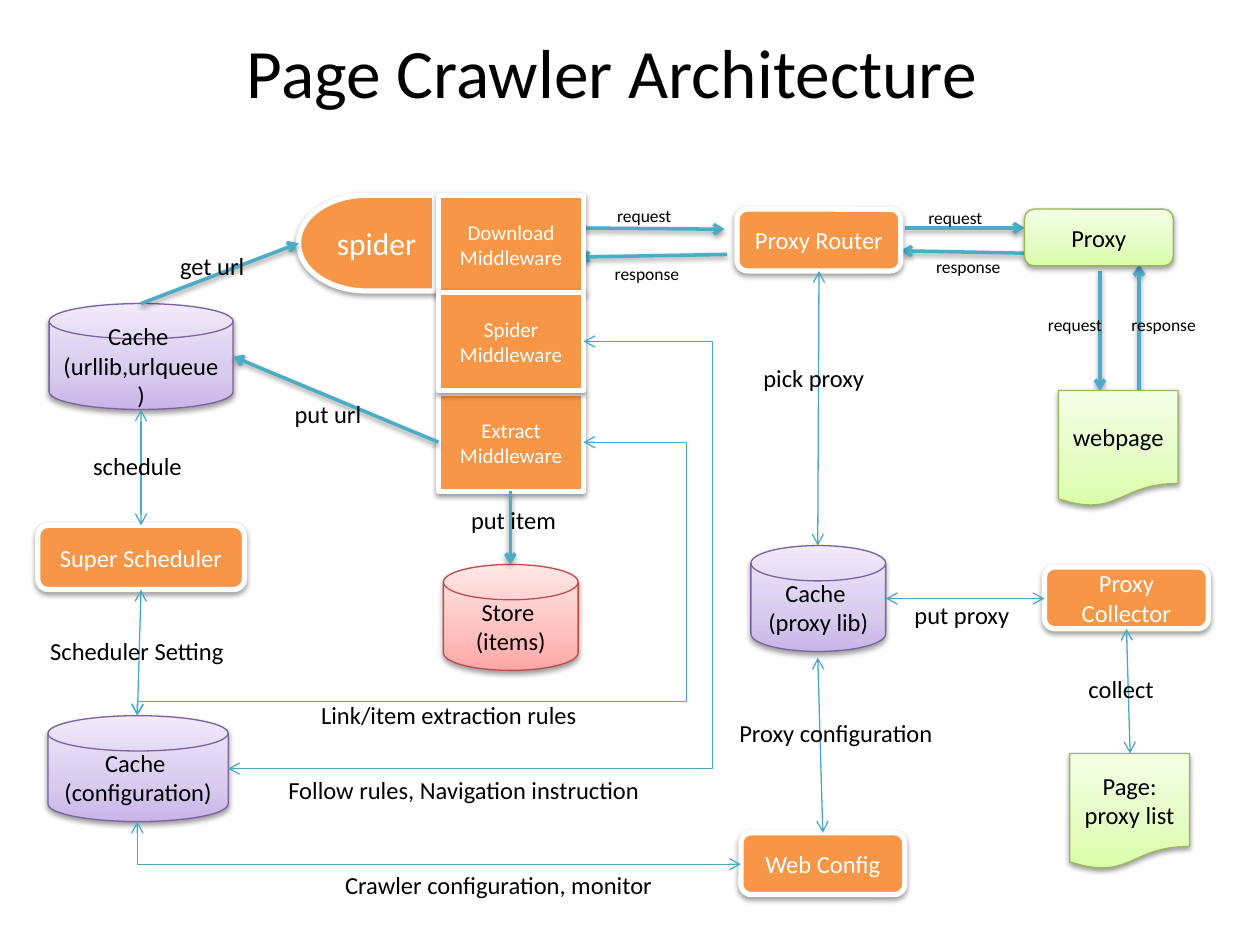
"""Build the crawler architecture slide."""
import copy
import pptx
import pptx.util
import pptx.dml.color
import pptx.enum.shapes
import pptx.enum.text
import pptx.oxml
import pptx.oxml.ns
from dataclasses import dataclass

Pt = pptx.util.Pt
Shape = pptx.enum.shapes.MSO_SHAPE
Connector = pptx.enum.shapes.MSO_CONNECTOR
Align = pptx.enum.text.PP_ALIGN
Anchor = pptx.enum.text.MSO_ANCHOR
rgb = pptx.dml.color.RGBColor.from_string
qn = pptx.oxml.ns.qn
DRAWING = pptx.oxml.ns.nsdecls("a")


@dataclass
class Theme:
    font: str = "Calibri"
    dark: str = "000000"
    light: str = "FFFFFF"
    thin_line: str = "46AAC5"
    thick_line: str = "4BACC6"
    title: float = 39.6
    spider: float = 18
    body: float = 14
    middleware: float = 12
    small: float = 10


theme = Theme()
styles = {
    "orange": (["F79646"], theme.light, 3, theme.light),
    "green": (["DAFDA7", "E4FCC2", "F5FFE7"], "98B955", 0.75, theme.dark),
    "purple": (["C9B5E8", "D8CBEE", "F0EAF9"], "7D60A0", 0.75, theme.dark),
    "red": (["FFA6A5", "FFC0BF", "FFE7E7"], "BF4C48", 0.75, theme.dark),
}


def write(frame, text, size, color, align):
    frame.text = text
    frame.word_wrap = True
    for para in frame.paragraphs:
        para.alignment = align
        for span in para.runs:
            span.font.name = theme.font
            span.font.size = Pt(size)
            span.font.color.rgb = rgb(color)


def set_shadow(item, visible):
    outer = (
        '<a:outerShdw blurRad="40000" dist="20000" dir="5400000" rotWithShape="0">'
        '<a:srgbClr val="000000"><a:alpha val="38000"/></a:srgbClr></a:outerShdw>'
    )
    item._element.spPr.append(
        pptx.oxml.parse_xml(f"<a:effectLst {DRAWING}>{outer if visible else ''}</a:effectLst>"))


deck = pptx.Presentation()
deck.slide_width, deck.slide_height = Pt(720), Pt(540)
page = deck.slides.add_slide(deck.slide_layouts[0])
subtitle = page.placeholders[1]
subtitle._element.getparent().remove(subtitle._element)
title = page.shapes.title
title.left, title.top, title.width, title.height = Pt(48.2), Pt(20.9), Pt(612), Pt(39.6)
write(title.text_frame, "Page Crawler Architecture ", theme.title, theme.dark, Align.CENTER)
title.text_frame.vertical_anchor = Anchor.MIDDLE

traffic_arrows = [
    (517, 130.3, 585.4, 130.3),
    (585.4, 144.7, 514.8, 143.3),
    (330.5, 130.3, 414, 131),
    (415.4, 145.4, 330.5, 146.9),
    (628.6, 154.8, 628.6, 223.2),
    (650.9, 223.2, 650.9, 151.2),
]
flow_arrows = [
    (80.6, 173.5, 170.6, 139),
    (291.6, 280.8, 291.6, 322.6),
    (250.6, 252.7, 133.2, 203.8),
]
two_way_links = [
    (80.6, 300.2, 80.6, 234),
    (468, 154.8, 467.3, 311.8),
    (506.2, 342, 596.9, 342),
    (645.8, 430.6, 643.7, 359.3),
    (467.3, 375.8, 470.2, 475.9),
    (80.6, 337, 78.5, 409),
]
elbow_links = [
    (333.4, 195.1, 130.3, 439.2, "bentConnector3", [-36400]),
    (333.4, 252.7, 78.5, 409, "bentConnector4", [-23100, 94900]),
    (423.4, 493.9, 78.5, 469.4, "bentConnector2", []),
]

rounded, disk, document = Shape.ROUNDED_RECTANGLE, Shape.FLOWCHART_MAGNETIC_DISK, Shape.FLOWCHART_DOCUMENT
button, drum, sheet = (93.6, 35.3), (77, 60.5), (68.4, 66.2)
nodes = [
    ("Proxy Router", rounded, "orange", 421.2, 119.5, button, theme.body),
    ("Proxy", rounded, "green", 585.4, 119.5, (85, 32.4), theme.body),
    ("Super Scheduler", rounded, "orange", 21.6, 300.2, (118.1, 36.7), theme.body),
    ("Cache \n(urllib,urlqueue)", disk, "purple", 28.1, 173.5, (105.1, 60.5), theme.body),
    ("Cache \n(proxy lib)", disk, "purple", 429.1, 311.8, drum, theme.body),
    ("Proxy Collector", rounded, "orange", 596.9, 324, button, theme.body),
    ("Page:\nproxy list", document, "green", 611.3, 430.6, sheet, theme.body),
    ("Store \n(items)", disk, "red", 253.4, 322.6, drum, theme.body),
    ("Cache \n(configuration)", disk, "purple", 27.4, 409, (103, 60.5), theme.body),
    ("Web Config", rounded, "orange", 423.4, 475.9, button, theme.body),
    ("webpage", document, "green", 604.8, 223.2, sheet, theme.body),
    ("spider", Shape.FLOWCHART_DELAY, "orange", 170.6, 111.6, (77.8, 54.7), theme.spider),
]
for text, top in (("Download\nMiddleware", 111.6), ("Extract Middleware", 224.6), ("Spider Middleware", 167)):
    nodes.append((text, Shape.RECTANGLE, "orange", 250.6, top, (82.8, 56.2), theme.middleware))

labels = [
    ("schedule", 46.1, 254.2, 68.4, theme.body),
    ("get url", 95.8, 139.7, 60.5, theme.body),
    ("put url", 161.3, 224.6, 60.5, theme.body),
    ("pick proxy", 429.1, 203.8, 77, theme.body),
    ("put proxy", 515.5, 339.1, 77, theme.body),
    ("collect", 614.9, 381.6, 59, theme.body),
    ("put item", 262.1, 285.1, 72, theme.body),
    ("Link/item extraction rules", 176.4, 396.7, 169.9, theme.body),
    ("Follow rules, Navigation instruction ", 157.7, 439.2, 218.9, theme.body),
    ("Crawler configuration, monitor", 190.1, 493.9, 203, theme.body),
    ("Proxy configuration", 415.4, 406.8, 127.4, theme.body),
    ("Scheduler Setting", 21.6, 360, 124.6, theme.body),
    ("request", 345.6, 113.8, 47.5, theme.small),
    ("response", 344.2, 146.9, 54.7, theme.small),
    ("request", 523.4, 114.5, 47.5, theme.small),
    ("response", 527.8, 142.6, 54.7, theme.small),
    ("request", 591.8, 175.7, 47.5, theme.small),
    ("response", 639.4, 175.7, 54.7, theme.small),
]


def add_link(ends, thick, preset="line", bends=()):
    kind = Connector.STRAIGHT if preset == "line" else Connector.ELBOW
    link = page.shapes.add_connector(kind, *[Pt(value) for value in ends])
    link.line.color.rgb = rgb(theme.thick_line if thick else theme.thin_line)
    link.line.width = Pt(2 if thick else 0.75)
    stroke = link._element.spPr.find(qn("a:ln"))
    for tag in ("tailEnd",) if thick else ("headEnd", "tailEnd"):
        stroke.append(pptx.oxml.parse_xml(f'<a:{tag} {DRAWING} type="arrow"/>'))
    geometry = link._element.spPr.find(qn("a:prstGeom"))
    geometry.set("prst", preset)
    for number, bend in enumerate(bends, 1):
        geometry.find(qn("a:avLst")).append(
            pptx.oxml.parse_xml(f'<a:gd {DRAWING} name="adj{number}" fmla="val {bend}"/>'))
    set_shadow(link, thick)


for ends in traffic_arrows:
    add_link(ends, True)

for text, kind, style, left, top, size, type_size in nodes:
    colors, outline, weight, ink = styles[style]
    node = page.shapes.add_shape(kind, Pt(left), Pt(top), Pt(size[0]), Pt(size[1]))
    if len(colors) == 1:
        node.fill.solid()
        node.fill.fore_color.rgb = rgb(colors[0])
    else:
        node.fill.gradient()
        node.fill.gradient_angle = 90
        stop_list = node._element.spPr.find(".//" + qn("a:gsLst"))
        stop_list.append(copy.deepcopy(stop_list[0]))
        for stop, color, position in zip(node.fill.gradient_stops, colors, (0, 0.35, 1)):
            stop.color.rgb = rgb(color)
            stop.position = position
    node.line.color.rgb = rgb(outline)
    node.line.width = Pt(weight)
    set_shadow(node, True)
    if kind == Shape.FLOWCHART_DELAY:
        node._element.spPr.find(qn("a:xfrm")).set("flipH", "1")
    write(node.text_frame, text, type_size, ink, Align.CENTER)
    node.text_frame.vertical_anchor = Anchor.MIDDLE

for ends in flow_arrows:
    add_link(ends, True)
for ends in two_way_links:
    add_link(ends, False)
for *ends, preset, bends in elbow_links:
    add_link(ends, False, preset, bends)

for text, left, top, width, type_size in labels:
    height = 24.5 if type_size == theme.body else 19.4
    box = page.shapes.add_textbox(Pt(left), Pt(top), Pt(width), Pt(height))
    write(box.text_frame, text, type_size, theme.dark, Align.LEFT)
    box.text_frame.auto_size = pptx.enum.text.MSO_AUTO_SIZE.SHAPE_TO_FIT_TEXT

deck.save("out.pptx")
